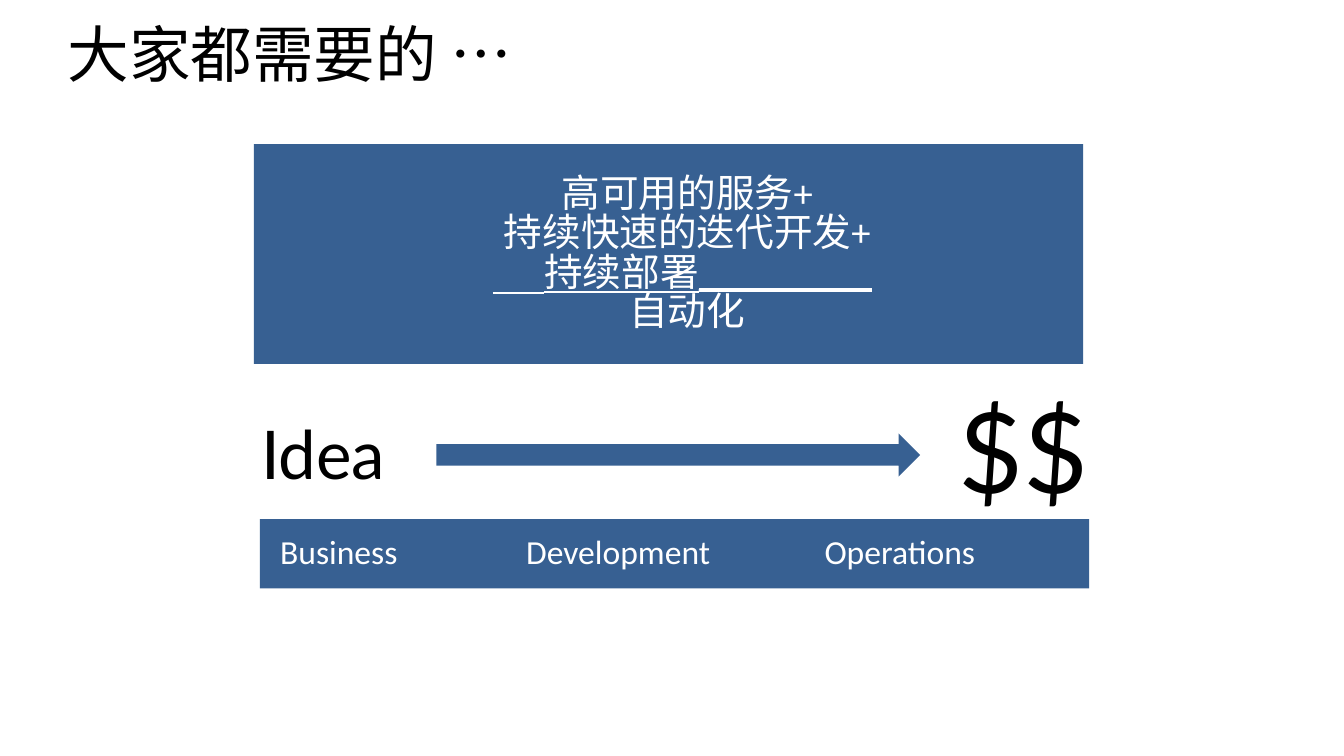
from dataclasses import dataclass

from lxml.etree import SubElement
from pptx import Presentation
from pptx.dml.color import RGBColor
from pptx.enum.shapes import MSO_CONNECTOR as Connector, MSO_SHAPE as Preset
from pptx.enum.text import MSO_ANCHOR as Anchor, PP_ALIGN as Align
from pptx.oxml.ns import qn
from pptx.shapes.autoshape import Shape
from pptx.slide import Slide
from pptx.text.text import TextFrame, _Paragraph as Paragraph
from pptx.util import Cm, Pt


@dataclass(frozen=True)
class Theme:
    blue: RGBColor = RGBColor(0x37, 0x60, 0x92)
    black: RGBColor = RGBColor(0, 0, 0)
    white: RGBColor = RGBColor(0xFF, 0xFF, 0xFF)
    heading_font: str = "Lato"
    body_font: str = "Calibri"
    title_size: float = 44
    needs_size: float = 27.6
    idea_size: float = 48
    money_size: float = 80
    stage_size: float = 24


@dataclass(frozen=True)
class Box:
    left: float
    top: float
    width: float
    height: float

    def lengths(self) -> tuple[Cm, Cm, Cm, Cm]:
        return Cm(self.left), Cm(self.top), Cm(self.width), Cm(self.height)


@dataclass(frozen=True)
class Label:
    text: str
    box: Box
    size: float


THEME = Theme()
PADDING = (0.51, 0.41, 0.51, 0.41)
TITLE_BOX = Box(1.45, 0.64, 30.96, 2.08)
NEEDS_BOX = Box(6.4, 3.63, 20.9, 5.54)
ARROW_BOX = Box(11, 10.92, 12.19, 1.09)
STAGES_BOX = Box(6.55, 13.08, 20.9, 1.75)
LABELS = (
    Label("$$", Box(23.65, 9.6, 5.79, 3.96), THEME.money_size),
    Label("Idea", Box(6.07, 10.21, 5, 2.69), THEME.idea_size),
)
NEEDS = ("高可用的服务+", "持续快速的迭代开发+", "持续部署_________", "自动化")
UNDERLINED_NEED = NEEDS[2]
NEED_TABS = (6.38,)
SUM_RULE = Box(12.42, 7.38, 1.3, 0)
STAGES = ("Business", "Development", "Operations")
STAGE_TABS = (6.2, 13.72)


def write(paragraph: Paragraph, text: str, *, size: float, color: RGBColor,
          font: str = THEME.heading_font, underline: bool = False,
          align: Align = Align.LEFT, spacing: float = 0.9,
          before: float = 0, after: float = 0) -> None:
    run = paragraph.add_run()
    run.text = text
    run.font.name = font
    run.font.size = Pt(size)
    run.font.color.rgb = color
    run.font.underline = underline
    paragraph.alignment = align
    paragraph.line_spacing = spacing
    paragraph.space_before = Pt(before)
    paragraph.space_after = Pt(after)


def set_tabs(paragraph: Paragraph, stops: tuple[float, ...]) -> None:
    tab_list = SubElement(paragraph._p.get_or_add_pPr(), qn("a:tabLst"))
    for stop in stops:
        SubElement(tab_list, qn("a:tab"), pos=str(Cm(stop)), algn="l")


def lay_out(frame: TextFrame, insets: tuple[float, float, float, float], anchor: Anchor) -> None:
    frame.word_wrap = True
    frame.vertical_anchor = anchor
    frame.margin_left, frame.margin_top, frame.margin_right, frame.margin_bottom = map(Cm, insets)


def add_blue(slide: Slide, preset: Preset, box: Box) -> Shape:
    shape = slide.shapes.add_shape(preset, *box.lengths())
    shape.shadow.inherit = False
    shape.fill.solid()
    shape.fill.fore_color.rgb = THEME.blue
    shape.line.fill.background()
    return shape


def add_title(slide: Slide) -> None:
    title = slide.shapes.title
    title.left, title.top, title.width, title.height = TITLE_BOX.lengths()
    lay_out(title.text_frame, (0.25, 0.13, 0.25, 0.13), Anchor.TOP)
    write(title.text_frame.paragraphs[0], "大家都需要的 …", size=THEME.title_size,
          color=THEME.black, spacing=0.8)


def add_needs(slide: Slide) -> None:
    frame = add_blue(slide, Preset.RECTANGLE, NEEDS_BOX).text_frame
    lay_out(frame, (0.94, 0.15, 0, 0), Anchor.MIDDLE)
    for index, need in enumerate(NEEDS):
        paragraph = frame.add_paragraph() if index else frame.paragraphs[0]
        style = dict(size=THEME.needs_size, color=THEME.white, font=THEME.body_font,
                     spacing=0.7, before=5 if index else 0)
        if need == UNDERLINED_NEED:
            write(paragraph, "\t", **style)
            write(paragraph, need, underline=True, **style)
            set_tabs(paragraph, NEED_TABS)
        else:
            write(paragraph, need, align=Align.CENTER, **style)


def add_sum_rule(slide: Slide) -> None:
    left, top, width, height = SUM_RULE.lengths()
    rule = slide.shapes.add_connector(Connector.STRAIGHT, left, top, left + width, top + height)
    rule.line.color.rgb = THEME.white
    rule.line.width = Pt(1.25)
    SubElement(rule._element.spPr, qn("a:effectLst"))


def add_label(slide: Slide, label: Label) -> None:
    frame = slide.shapes.add_textbox(*label.box.lengths()).text_frame
    lay_out(frame, PADDING, Anchor.TOP)
    write(frame.paragraphs[0], label.text, size=label.size, color=THEME.black, after=6)


def add_stages(slide: Slide) -> None:
    frame = add_blue(slide, Preset.RECTANGLE, STAGES_BOX).text_frame
    lay_out(frame, PADDING, Anchor.MIDDLE)
    write(frame.paragraphs[0], "\t".join(STAGES), size=THEME.stage_size,
          color=THEME.white, font=THEME.body_font, after=6)
    set_tabs(frame.paragraphs[0], STAGE_TABS)


def main() -> None:
    deck = Presentation()
    deck.slide_width, deck.slide_height = Cm(33.87), Cm(19.05)
    slide = deck.slides.add_slide(deck.slide_layouts[5])
    add_title(slide)
    add_needs(slide)
    add_sum_rule(slide)
    for label in LABELS:
        add_label(slide, label)
    add_blue(slide, Preset.RIGHT_ARROW, ARROW_BOX)
    add_stages(slide)
    deck.save("out.pptx")


if __name__ == "__main__":
    main()
